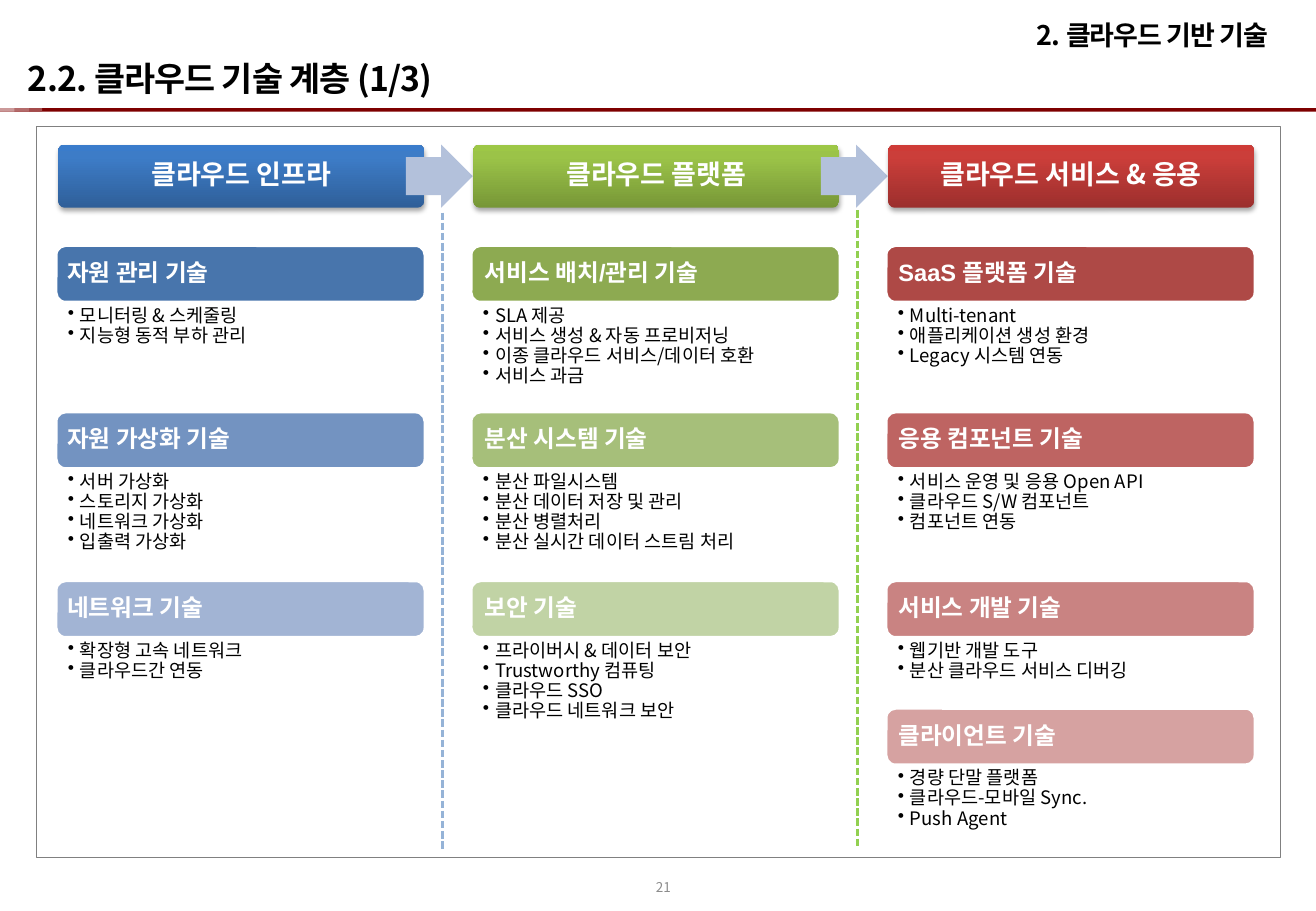
from copy import deepcopy

from lxml import etree
from pptx import Presentation
from pptx import util as u
from pptx.dml.color import RGBColor
from pptx.enum import dml, shapes, text
from pptx.oxml.ns import qn

WIDTH, HEIGHT = 10.83, 7.5
LEFT, PITCH, PILL_W, PILL_H = 0.46, 3.415, 3.04, 0.47
HEADER_Y, HEADER_W, HEADER_H = 1.19, 3.01, 0.52
ROWS = [2.02, 3.39, 4.78, 5.83]
NOTO, ARIAL = "Noto Sans CJK KR", "Arial"
C = {"black": "000000", "white": "FFFFFF", "frame": "808080", "number": "8C8C8C",
     "arrow": "B3C1DB"}
STRIPES = [(1, "7E0000"), (0.032, "A44B4B"), (0.022, "B46B6B"), (0.011, "CB9999")]
DIVIDERS = [(1.75, "95B3D7"), (1.73, "92D050")]

COLUMNS = [
    ("클라우드 인프라", ["2F5F99", "3D7CC7", "3A7CCB"], 0.07, [
        ("자원 관리 기술", "4875AC", ["모니터링 & 스케줄링", "지능형 동적 부하 관리"]),
        ("자원 가상화 기술", "7393C1",
         ["서버 가상화", "스토리지 가상화", "네트워크 가상화", "입출력 가상화"]),
        ("네트워크 기술", "A2B4D4", ["확장형 고속 네트워크", "클라우드간 연동"]),
    ]),
    ("클라우드 플랫폼", ["779737", "9BC348", "9DC746"], 0.09, [
        ("서비스 배치/관리 기술", "8DAA51",
         ["SLA 제공", "서비스 생성 & 자동 프로비저닝",
          "이종 클라우드 서비스/데이터 호환", "서비스 과금"]),
        ("분산 시스템 기술", "A6BF7A",
         ["분산 파일시스템", "분산 데이터 저장 및 관리", "분산 병렬처리",
          "분산 실시간 데이터 스트림 처리"]),
        ("보안 기술", "C1D3A5",
         ["프라이버시 & 데이터 보안", "Trustworthy 컴퓨팅", "클라우드 SSO",
          "클라우드 네트워크 보안"]),
    ]),
    ("클라우드 서비스 & 응용", ["9C2F2D", "CB3E3A", "CE3B37"], 0.08, [
        ("SaaS 플랫폼 기술", "AE4946",
         ["Multi-tenant", "애플리케이션 생성 환경", "Legacy 시스템 연동"]),
        ("응용 컴포넌트 기술", "BE6462",
         ["서비스 운영 및 응용 Open API", "클라우드 S/W 컴포넌트", "컴포넌트 연동"]),
        ("서비스 개발 기술", "C98382", ["웹기반 개발 도구", "분산 클라우드 서비스 디버깅"]),
        ("클라이언트 기술", "D6A2A1",
         ["경량 단말 플랫폼", "클라우드-모바일 Sync.", "Push Agent"]),
    ]),
]


def rgb(value):
    return RGBColor.from_string(value)


def inches(*values):
    return [u.Inches(v) for v in values]


def add_run(p, words, size, color, bold=False, font=NOTO, spacing=None):
    r = p.add_run()
    r.text = words
    r.font.size, r.font.bold, r.font.name = u.Pt(size), bold, font
    r.font.color.rgb = rgb(color)
    rPr = r._r.get_or_add_rPr()
    etree.SubElement(rPr, qn("a:ea"), typeface=NOTO)
    if spacing:
        rPr.set("spc", str(spacing))


def set_frame(sp, anchor, side=0.1, edge=0.05):
    tf = sp.text_frame
    tf.word_wrap = True
    tf.auto_size = text.MSO_AUTO_SIZE.NONE
    tf.vertical_anchor = anchor
    tf.margin_left, tf.margin_right = inches(side, side)
    tf.margin_top, tf.margin_bottom = inches(edge, edge)
    return tf


def add_block(s, kind, box, fill=None, line=None, width=1):
    sp = s.shapes.add_shape(kind, *inches(*box))
    sp.shadow.inherit = False
    if fill:
        sp.fill.solid()
        sp.fill.fore_color.rgb = rgb(fill)
    else:
        sp.fill.background()
    if line:
        sp.line.color.rgb = rgb(line)
        sp.line.width = u.Pt(width)
    else:
        sp.line.fill.background()
    return sp


def add_text(s, box, words, size, color, align, anchor, **style):
    tf = set_frame(s.shapes.add_textbox(*inches(*box)), anchor)
    p = tf.paragraphs[0]
    p.alignment = align
    add_run(p, words, size, color, **style)


def add_label(sp, words, size, align, font, inset):
    p = set_frame(sp, text.MSO_ANCHOR.MIDDLE, inset, inset).paragraphs[0]
    p.alignment, p.line_spacing = align, 0.9
    add_run(p, words, size, C["white"], True, font)


def add_gradient(sp, colors):
    sp.fill.gradient()
    sp.fill.gradient_angle = 90
    stops = sp._element.spPr.find(qn("a:gradFill")).find(qn("a:gsLst"))
    stops.append(deepcopy(stops[0]))
    for stop, color, position in zip(sp.fill.gradient_stops, colors, (0, 0.8, 1)):
        stop.color.rgb = rgb(color)
        stop.position = position


def add_shadow(sp):
    effects = sp._element.spPr.find(qn("a:effectLst"))
    shadow = etree.SubElement(effects, qn("a:outerShdw"), blurRad=str(u.Pt(3.1)),
                              dist=str(u.Pt(1.8)), dir="5400000", rotWithShape="0")
    color = etree.SubElement(shadow, qn("a:srgbClr"), val=C["black"])
    etree.SubElement(color, qn("a:alpha"), val="35000")


def add_header(s, x, words, colors):
    sp = add_block(s, shapes.MSO_SHAPE.ROUNDED_RECTANGLE,
                   (x + 0.02, HEADER_Y, HEADER_W, HEADER_H))
    sp.adjustments[0] = 0.1
    add_gradient(sp, colors)
    add_shadow(sp)
    add_label(sp, words, 16, text.PP_ALIGN.CENTER, NOTO, 0.08)


def add_pill(s, x, y, words, color, inset):
    sp = add_block(s, shapes.MSO_SHAPE.ROUNDED_RECTANGLE, (x, y, PILL_W, PILL_H),
                   color, C["white"], 2)
    sp.adjustments[0] = 0.17
    add_label(sp, words, 14, text.PP_ALIGN.LEFT, ARIAL, inset)


def add_bullets(s, x, y, items):
    box = s.shapes.add_textbox(*inches(x, y, 3.15, 0.26 * len(items)))
    tf = set_frame(box, text.MSO_ANCHOR.TOP, 0.1, 0.01)
    for i, item in enumerate(items):
        p = tf.add_paragraph() if i else tf.paragraphs[0]
        p.line_spacing = 0.9
        pPr = p._p.get_or_add_pPr()
        pPr.set("marL", str(u.Inches(0.1)))
        pPr.set("indent", str(u.Inches(-0.1)))
        etree.SubElement(pPr, qn("a:buChar"), char="•")
        add_run(p, item, 11, C["black"])


def add_arrow(s, x):
    sp = add_block(s, shapes.MSO_SHAPE.RIGHT_ARROW, (x + 2.88, HEADER_Y, 0.55, HEADER_H),
                   C["arrow"])
    sp.adjustments[0], sp.adjustments[1] = 0.6, 0.5


def add_divider(s, x, top, color):
    cn = s.shapes.add_connector(shapes.MSO_CONNECTOR.STRAIGHT,
                                *inches(x, top, x, top + 5.25))
    cn.line.color.rgb = rgb(color)
    cn.line.width = u.Pt(1.5)
    cn.line.dash_style = dml.MSO_LINE.SQUARE_DOT
    prstDash = cn._element.spPr.find(qn("a:ln")).find(qn("a:prstDash"))
    prstDash.set("val", "sysDash")
    etree.SubElement(cn._element.spPr, qn("a:effectLst"))


def add_title(s, words):
    sp = s.shapes.title
    sp.left, sp.top, sp.width, sp.height = inches(0.13, 0.1, 10.17, 0.76)
    p = set_frame(sp, text.MSO_ANCHOR.BOTTOM).paragraphs[0]
    p.alignment = text.PP_ALIGN.LEFT
    add_run(p, words, 20, C["black"], True, spacing=-50)


def main():
    prs = Presentation()
    prs.slide_width, prs.slide_height = inches(WIDTH, HEIGHT)
    s = prs.slides.add_slide(prs.slide_layouts[5])
    add_title(s, "2.2. 클라우드 기술 계층 (1/3)")
    for share, color in STRIPES:
        add_block(s, shapes.MSO_SHAPE.RECTANGLE, (0, 0.89, WIDTH * share, 0.03), color)
    add_text(s, (5.18, 7.1, 0.44, 0.4), "21", 8, C["number"],
             text.PP_ALIGN.RIGHT, text.MSO_ANCHOR.MIDDLE)
    add_block(s, shapes.MSO_SHAPE.RECTANGLE, (0.3, 1.04, 10.24, 6.02),
              line=C["frame"], width=0.25)

    for i, (header, gradient, inset, groups) in enumerate(COLUMNS):
        x = LEFT + i * PITCH
        for y, (label, color, items) in zip(ROWS, groups):
            add_pill(s, x, y, label, color, inset)
            add_bullets(s, x, y + 0.49, items)
        add_header(s, x, header, gradient)
        if i < len(DIVIDERS):
            add_arrow(s, x)
            add_divider(s, x + 3.18, *DIVIDERS[i])

    add_text(s, (6.67, 0.1, 3.87, 0.76), "2. 클라우드 기반 기술", 16, C["black"],
             text.PP_ALIGN.RIGHT, text.MSO_ANCHOR.TOP, bold=True, spacing=-50)
    prs.save("out.pptx")


if __name__ == "__main__":
    main()
